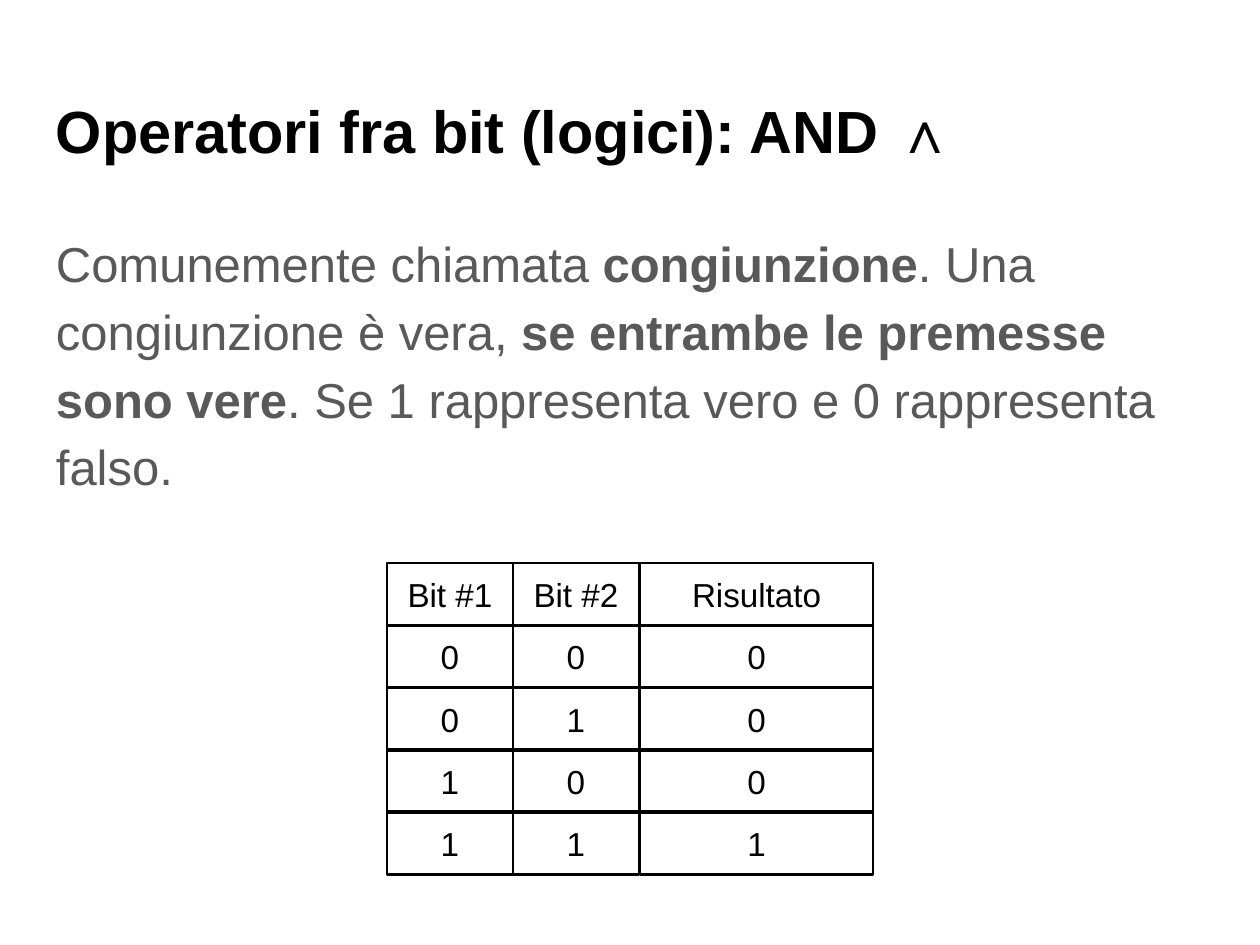
"""Build a slide on the logical AND operator with its truth table."""
from dataclasses import dataclass
from itertools import product

from pptx import Presentation
from pptx.dml.color import RGBColor
from pptx.enum.shapes import MSO_SHAPE
from pptx.enum.text import MSO_ANCHOR, PP_ALIGN
from pptx.util import Pt

TITLE = [("Operatori fra bit (logici): AND ∧", True)]
BODY = [
    ("Comunemente chiamata ", False),
    ("congiunzione", True),
    (". Una congiunzione è vera, ", False),
    ("se entrambe le premesse sono vere", True),
    (". Se 1 rappresenta vero e 0 rappresenta falso.", False),
]
HEADS = ["Bit #1", "Bit #2", "Risultato"]
ROWS = [HEADS] + [[str(a), str(b), str(a & b)] for a, b in product((0, 1), repeat=2)]
COLS = [(387, 126), (513, 126), (640, 233)]
TOP, PITCH, HIGH = 563, 62.2, 63
INSET = 13


@dataclass(frozen=True)
class Theme:
    font: str = "Arial"
    ink: str = "000000"
    grey: str = "595959"
    title: int = 34
    body: int = 28
    cell: int = 19
    line: float = 1.5


THEME = Theme()


def px(n):
    return round(n * 914400 / 126)


def fill_text(shape, runs, size, color):
    frame = shape.text_frame
    frame.word_wrap = True
    frame.margin_left = frame.margin_right = px(INSET)
    frame.margin_top = frame.margin_bottom = px(INSET)
    para = frame.paragraphs[0]
    para.font.name = THEME.font
    para.font.size = Pt(size)
    para.font.color.rgb = RGBColor.from_string(color)
    for text, bold in runs:
        run = para.add_run()
        run.text = text
        run.font.bold = bold
    return para


def add_text(slide, box, runs, size, color):
    shape = slide.shapes.add_textbox(*map(px, box))
    return fill_text(shape, runs, size, color)


def add_cell(slide, box, text):
    shape = slide.shapes.add_shape(MSO_SHAPE.RECTANGLE, *map(px, box))
    shape.shadow.inherit = False
    shape.fill.background()
    shape.line.color.rgb = RGBColor.from_string(THEME.ink)
    shape.line.width = Pt(THEME.line)
    shape.text_frame.vertical_anchor = MSO_ANCHOR.MIDDLE
    para = fill_text(shape, [(text, False)], THEME.cell, THEME.ink)
    para.alignment = PP_ALIGN.CENTER


def main():
    deck = Presentation()
    deck.slide_width, deck.slide_height = px(1260), px(945)
    slide = deck.slides.add_slide(deck.slide_layouts[6])
    add_text(slide, (43, 81, 1174, 105), TITLE, THEME.title, THEME.ink)
    body = add_text(slide, (43, 212, 1174, 324), BODY, THEME.body, THEME.grey)
    body.line_spacing = 1.15
    body.space_after = Pt(12)
    for i, texts in enumerate(ROWS):
        for (left, wide), text in zip(COLS, texts):
            add_cell(slide, (left, TOP + i * PITCH, wide, HIGH), text)
    deck.save("out.pptx")


if __name__ == "__main__":
    main()
